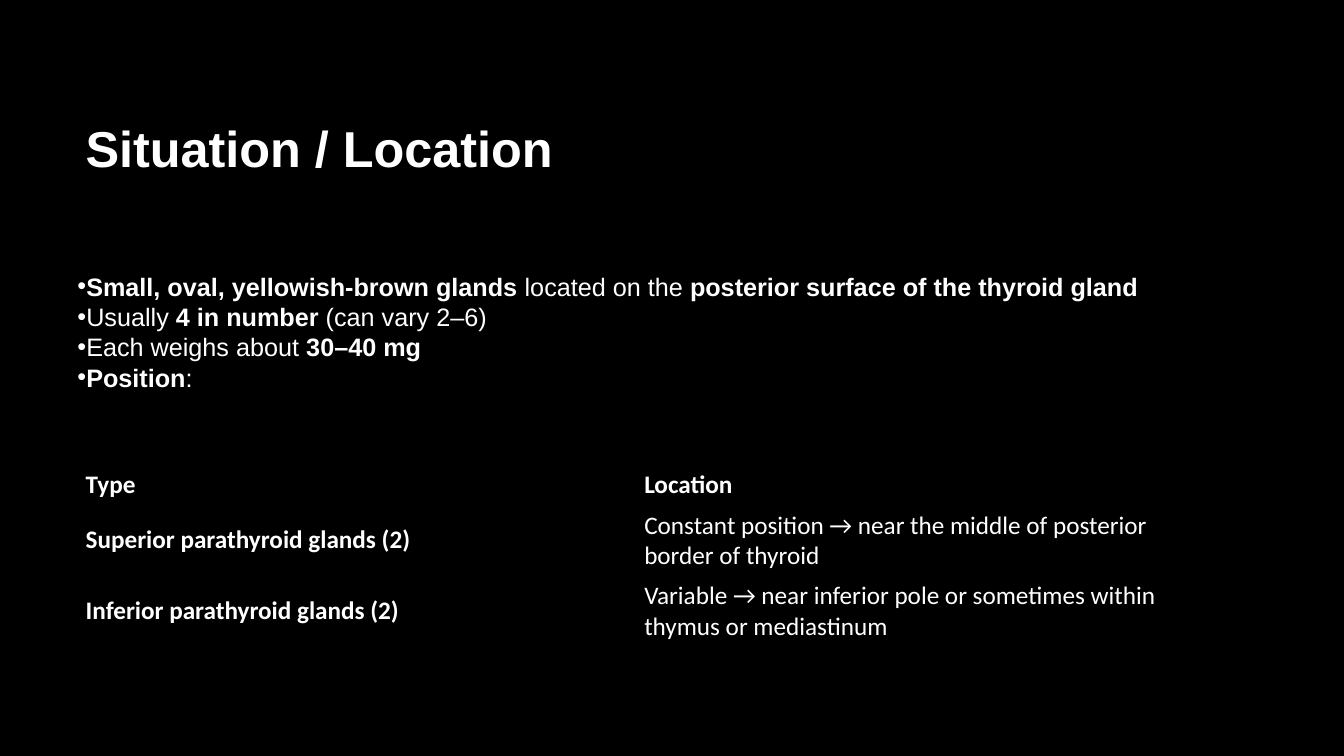
"""Build a slide on the situation and location of the parathyroid glands."""
from lxml import etree
from pptx import Presentation
from pptx.dml.color import RGBColor
from pptx.enum.text import MSO_ANCHOR
from pptx.oxml.ns import qn
from pptx.util import Inches, Pt

MIDDLE, TOP = MSO_ANCHOR.MIDDLE, MSO_ANCHOR.TOP
BLACK, WHITE = "000000", "FFFFFF"
NO_GRID_STYLE = "{2D5ABB26-0587-4C30-8999-92F81FD0307C}"
LEFT, WIDTH = 0.75, 11.08
ROW_HEIGHTS = [0.4, 0.7, 0.7]

FACTS = [
    [("Small, oval, yellowish-brown glands", True), (" located on the ", False),
     ("posterior surface of the thyroid gland", True)],
    [("Usually ", False), ("4 in number", True), (" (can vary 2–6)", False)],
    [("Each weighs about ", False), ("30–40 mg", True)],
    [("Position", True), (":", False)],
]
POSITIONS = [
    ("Type", "Location"),
    ("Superior parathyroid glands (2)",
     "Constant position → near the middle of posterior border of thyroid"),
    ("Inferior parathyroid glands (2)",
     "Variable → near inferior pole or sometimes within thymus or mediastinum"),
]


def color(value):
    """Turn a hex string into a colour."""
    return RGBColor.from_string(value)


def add_bullet(para):
    """Put a round bullet directly before the paragraph text."""
    properties = para._p.get_or_add_pPr()
    properties.set("marL", "0")
    properties.set("indent", "0")
    etree.SubElement(properties, qn("a:buFont")).set("typeface", "Arial")
    etree.SubElement(properties, qn("a:buChar")).set("char", "•")


def write_spans(para, spans, font_name, size):
    """Fill a paragraph with white spans of text, each bold or regular."""
    para.font.name = font_name
    para.font.size = Pt(size)
    para.font.color.rgb = color(WHITE)
    for text, bold in spans:
        span = para.add_run()
        span.text = text
        span.font.bold = bold


def add_text(page, area, lines, size, anchor, bulleted=False):
    """Add a text box with one paragraph for each line of spans."""
    box = page.shapes.add_textbox(*map(Inches, area))
    frame = box.text_frame
    frame.word_wrap = True
    frame.vertical_anchor = anchor
    for index, spans in enumerate(lines):
        para = frame.add_paragraph() if index else frame.paragraphs[0]
        if bulleted:
            add_bullet(para)
        write_spans(para, spans, "Arial", size)


def add_position_table(page, top):
    """Add the plain table of gland types and their locations."""
    area = (LEFT, top, WIDTH, sum(ROW_HEIGHTS))
    frame = page.shapes.add_table(len(POSITIONS), 2, *map(Inches, area))
    table = frame.table
    table._tbl.tblPr.find(qn("a:tableStyleId")).text = NO_GRID_STYLE
    table.horz_banding = False
    for row_index, texts in enumerate(POSITIONS):
        table.rows[row_index].height = Inches(ROW_HEIGHTS[row_index])
        for column_index, text in enumerate(texts):
            cell = table.cell(row_index, column_index)
            cell.fill.background()
            cell.vertical_anchor = MIDDLE
            bold = row_index == 0 or column_index == 0
            write_spans(cell.text_frame.paragraphs[0], [(text, bold)], "Calibri", 18)


def main():
    """Build and save the deck."""
    deck = Presentation()
    deck.slide_width, deck.slide_height = Inches(13.33), Inches(7.5)
    page = deck.slides.add_slide(deck.slide_layouts[6])
    page.background.fill.solid()
    page.background.fill.fore_color.rgb = color(BLACK)
    add_text(page, (LEFT, 0.67, WIDTH, 1.59), [[("Situation / Location", True)]], 36, MIDDLE)
    add_position_table(page, 4.61)
    add_text(page, (0.67, 2.64, 10.82, 1.62), FACTS, 18, TOP, bulleted=True)
    deck.save("out.pptx")


if __name__ == "__main__":
    main()
